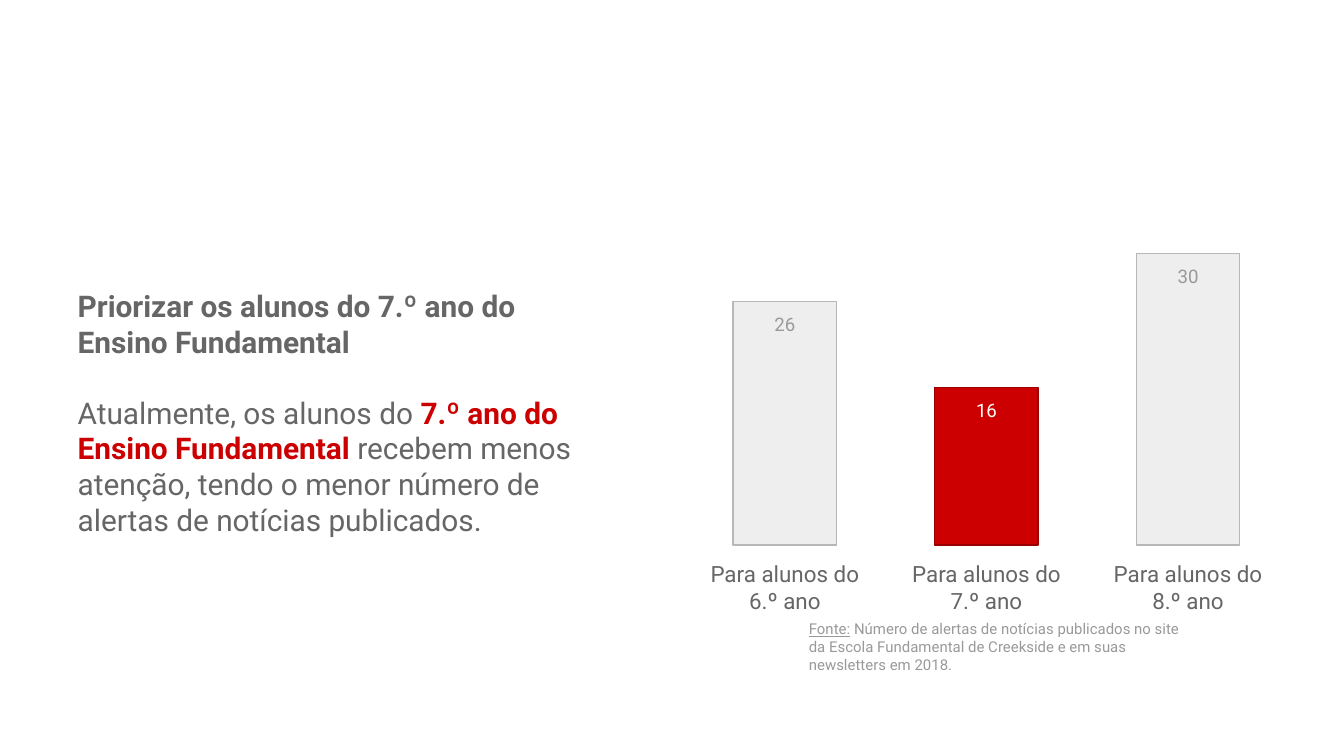
from dataclasses import dataclass

import pptx
import pptx.dml.color
import pptx.enum.shapes
import pptx.enum.text
import pptx.slide
import pptx.util

RGBColor = pptx.dml.color.RGBColor
Align = pptx.enum.text.PP_ALIGN

PX = 4572
FONT = "Roboto"
WHITE = RGBColor(0xFF, 0xFF, 0xFF)
GRAY = RGBColor(0x66, 0x66, 0x66)
MUTED = RGBColor(0x99, 0x99, 0x99)
PALE = RGBColor(0xEE, 0xEE, 0xEE)
PALE_EDGE = RGBColor(0xB7, 0xB7, 0xB7)
RED = RGBColor(0xCC, 0x00, 0x00)
DARK_RED = RGBColor(0x99, 0x00, 0x00)

FIRST_BAR_LEFT = 1091
BAR_PITCH = 300
BAR_WIDTH = 154
BASELINE = 811
INSET = 20


@dataclass(frozen=True)
class Box:
    left: int
    top: int
    width: int
    height: int

    def emu(self) -> tuple[int, int, int, int]:
        return self.left * PX, self.top * PX, self.width * PX, self.height * PX


@dataclass(frozen=True)
class Span:
    text: str
    color: RGBColor
    bold: bool = False
    underline: bool = False


@dataclass(frozen=True)
class GradeBar:
    label: str
    alerts: int
    height: int
    fill: RGBColor = PALE
    edge: RGBColor = PALE_EDGE
    value_color: RGBColor = MUTED


def add_text(slide: pptx.slide.Slide, box: Box, paragraphs: list[list[Span]], size: int,
             align: Align = Align.LEFT, gap: float = 0) -> None:
    frame = slide.shapes.add_textbox(*box.emu()).text_frame
    frame.word_wrap = True
    frame.auto_size = pptx.enum.text.MSO_AUTO_SIZE.SHAPE_TO_FIT_TEXT
    frame.margin_left = frame.margin_right = INSET * PX
    frame.margin_top = frame.margin_bottom = INSET * PX
    for index, spans in enumerate(paragraphs):
        paragraph = frame.add_paragraph() if index else frame.paragraphs[0]
        paragraph.alignment = align
        if index:
            paragraph.space_before = pptx.util.Pt(gap)
        for span in spans:
            run = paragraph.add_run()
            run.text = span.text
            run.font.name = FONT
            run.font.size = pptx.util.Pt(size)
            run.font.color.rgb = span.color
            run.font.bold = span.bold
            run.font.underline = span.underline


def add_bar(slide: pptx.slide.Slide, index: int, grade: GradeBar) -> None:
    left = FIRST_BAR_LEFT + index * BAR_PITCH
    top = BASELINE - grade.height
    bar = slide.shapes.add_shape(
        pptx.enum.shapes.MSO_SHAPE.RECTANGLE,
        *Box(left, top, BAR_WIDTH, grade.height).emu())
    bar.shadow.inherit = False
    bar.fill.solid()
    bar.fill.fore_color.rgb = grade.fill
    bar.line.color.rgb = grade.edge
    bar.line.width = pptx.util.Pt(0.75)
    add_text(slide, Box(left, top, BAR_WIDTH, 74),
             [[Span(str(grade.alerts), grade.value_color)]], 10, Align.CENTER)
    label_left = left + (BAR_WIDTH - BAR_PITCH) // 2
    add_text(slide, Box(label_left, 814, BAR_PITCH, 122),
             [[Span(grade.label, GRAY)]], 12, Align.CENTER)


def main() -> None:
    deck = pptx.Presentation()
    deck.slide_width = 2000 * PX
    deck.slide_height = 1125 * PX
    slide = deck.slides.add_slide(deck.slide_layouts.get_by_name("Blank"))

    recommendation = [
        [Span("Priorizar os alunos do 7.º ano do Ensino Fundamental", GRAY, bold=True)],
        [
            Span("Atualmente, os alunos do ", GRAY),
            Span("7.º ano do Ensino Fundamental", RED, bold=True),
            Span(" recebem menos atenção, tendo o menor número de alertas"
                 " de notícias publicados.", GRAY),
        ],
    ]
    add_text(slide, Box(96, 408, 794, 310), recommendation, 16, gap=18.75)

    grades = [
        GradeBar("Para alunos do 6.º ano", 26, 362),
        GradeBar("Para alunos do 7.º ano", 16, 234, RED, DARK_RED, WHITE),
        GradeBar("Para alunos do 8.º ano", 30, 434),
    ]
    for index, grade in enumerate(grades):
        add_bar(slide, index, grade)

    source = [
        Span("Fonte:", MUTED, underline=True),
        Span(" Número de alertas de notícias publicados no site da Escola Fundamental"
             " de Creekside e em suas newsletters em 2018.", MUTED),
    ]
    add_text(slide, Box(1184, 902, 600, 94), [source], 8)

    deck.save("out.pptx")


if __name__ == "__main__":
    main()
